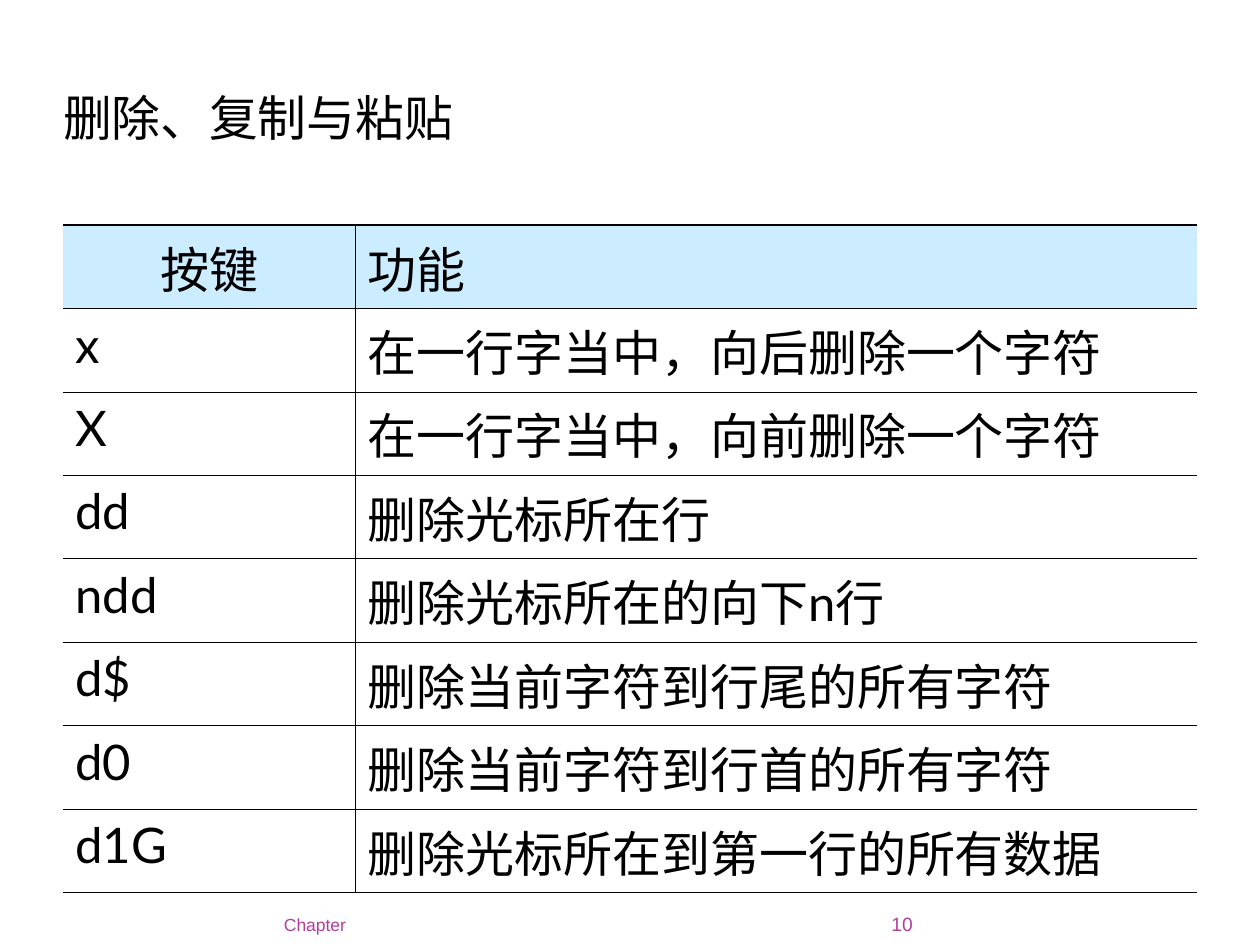
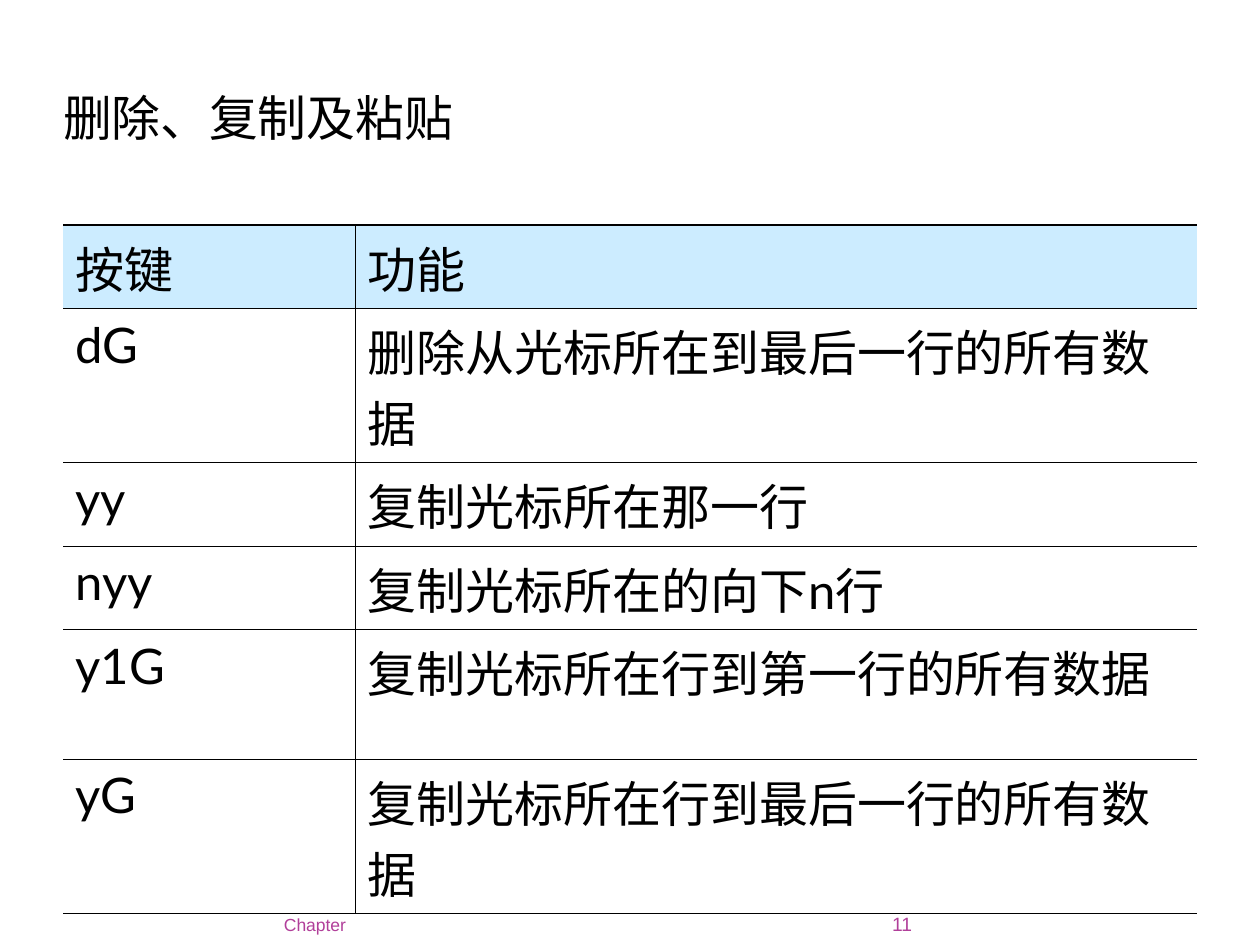
import pptx
import pptx.dml.color
import pptx.enum.text
import pptx.oxml
import pptx.oxml.ns
import pptx.util

Pt = pptx.util.Pt
RGBColor = pptx.dml.color.RGBColor
PP_ALIGN = pptx.enum.text.PP_ALIGN
MSO_ANCHOR = pptx.enum.text.MSO_ANCHOR

BLACK = RGBColor(0x00, 0x00, 0x00)
HEADER_BLUE = RGBColor(0xCC, 0xEC, 0xFF)
FOOTER_PURPLE = RGBColor(0xB1, 0x3F, 0x9A)
BODY_FONT = "Lato"
FOOTER_FONT = "Arial"
THIN, THICK = 0.45, 1.08
LEFT = 36
COLUMN_WIDTHS = (167, 481)
ONE_LINE, TWO_LINES = 47.7, 88.1
HEADER_ROW = ("按键", "功能")

SLIDES = [
    {
        "title": "删除、复制与粘贴",
        "number": "10",
        "key_align": PP_ALIGN.CENTER,
        "row_heights": [ONE_LINE] * 8,
        "commands": [
            ("x", "在一行字当中，向后删除一个字符"),
            ("X", "在一行字当中，向前删除一个字符"),
            ("dd", "删除光标所在行"),
            ("ndd", "删除光标所在的向下n行"),
            ("d$", "删除当前字符到行尾的所有字符"),
            ("d0", "删除当前字符到行首的所有字符"),
            ("d1G", "删除光标所在到第一行的所有数据"),
        ],
    },
    {
        "title": "删除、复制及粘贴",
        "number": "11",
        "key_align": PP_ALIGN.LEFT,
        "row_heights": [ONE_LINE, TWO_LINES, ONE_LINE, ONE_LINE, 74.2, TWO_LINES],
        "commands": [
            ("dG", "删除从光标所在到最后一行的所有数据"),
            ("yy", "复制光标所在那一行"),
            ("nyy", "复制光标所在的向下n行"),
            ("y1G", "复制光标所在行到第一行的所有数据"),
            ("yG", "复制光标所在行到最后一行的所有数据"),
        ],
    },
]


def style_paragraph(p, size, font, color, align):
    p.alignment = align
    for r in p.runs:
        r.font.size = Pt(size)
        r.font.name = font
        r.font.color.rgb = color


def add_text(s, box, text, size, font, color, align, anchor, side_inset=0):
    tf = s.shapes.add_textbox(*map(Pt, box)).text_frame
    tf.word_wrap = True
    tf.vertical_anchor = anchor
    tf.margin_left = tf.margin_right = Pt(side_inset)
    tf.margin_top = tf.margin_bottom = 0
    tf.text = text
    style_paragraph(tf.paragraphs[0], size, font, color, align)


def add_footer(s, box, text, size, side_inset=0):
    add_text(s, box, text, size, FOOTER_FONT, FOOTER_PURPLE,
             PP_ALIGN.CENTER, MSO_ANCHOR.BOTTOM, side_inset)


def set_borders(cell, widths):
    """Draw left, right, top and bottom borders; a width of 0 hides one."""
    tcPr = cell._tc.get_or_add_tcPr()
    for side, width in zip("LRTB", widths):
        paint = f'<a:solidFill><a:srgbClr val="{BLACK}"/></a:solidFill>' if width else "<a:noFill/>"
        tcPr.append(pptx.oxml.parse_xml(
            f'<a:ln{side} {pptx.oxml.ns.nsdecls("a")} w="{Pt(width)}">{paint}</a:ln{side}>'))


def add_command_table(s, rows, heights, key_align):
    table = s.shapes.add_table(len(rows), 2, Pt(LEFT), Pt(128.6),
                               Pt(sum(COLUMN_WIDTHS)), Pt(sum(heights))).table
    table.first_row = table.horz_banding = False
    for column, width in zip(table.columns, COLUMN_WIDTHS):
        column.width = Pt(width)
    last = len(rows) - 1
    for i, (texts, height) in enumerate(zip(rows, heights)):
        table.rows[i].height = Pt(height)
        for j, text in enumerate(texts):
            cell = table.cell(i, j)
            cell.text_frame.text = text
            p = cell.text_frame.paragraphs[0]
            p.space_before = Pt(7)
            align = key_align if (i, j) == (0, 0) else PP_ALIGN.LEFT
            style_paragraph(p, 28, BODY_FONT, BLACK, align)
            set_borders(cell, (THIN if j else 0, 0 if j else THIN,
                               THIN if i else THICK, THICK if i == last else THIN))
            if i:
                cell.fill.background()
            else:
                cell.fill.solid()
                cell.fill.fore_color.rgb = HEADER_BLUE


def main():
    prs = pptx.Presentation()
    prs.slide_width, prs.slide_height = Pt(720), Pt(540)
    for content in SLIDES:
        s = prs.slides.add_slide(prs.slide_layouts[6])
        add_footer(s, (LEFT, 516.25, 288, 18), "Chapter", 10, 7.2)
        add_footer(s, (492.5, 516.25, 46, 18), content["number"], 11)
        add_command_table(s, [HEADER_ROW] + content["commands"],
                          content["row_heights"], content["key_align"])
        add_text(s, (LEFT, 41, 514, 52), content["title"], 27.9, BODY_FONT, BLACK,
                 PP_ALIGN.LEFT, MSO_ANCHOR.MIDDLE)
    prs.save("out.pptx")


if __name__ == "__main__":
    main()
